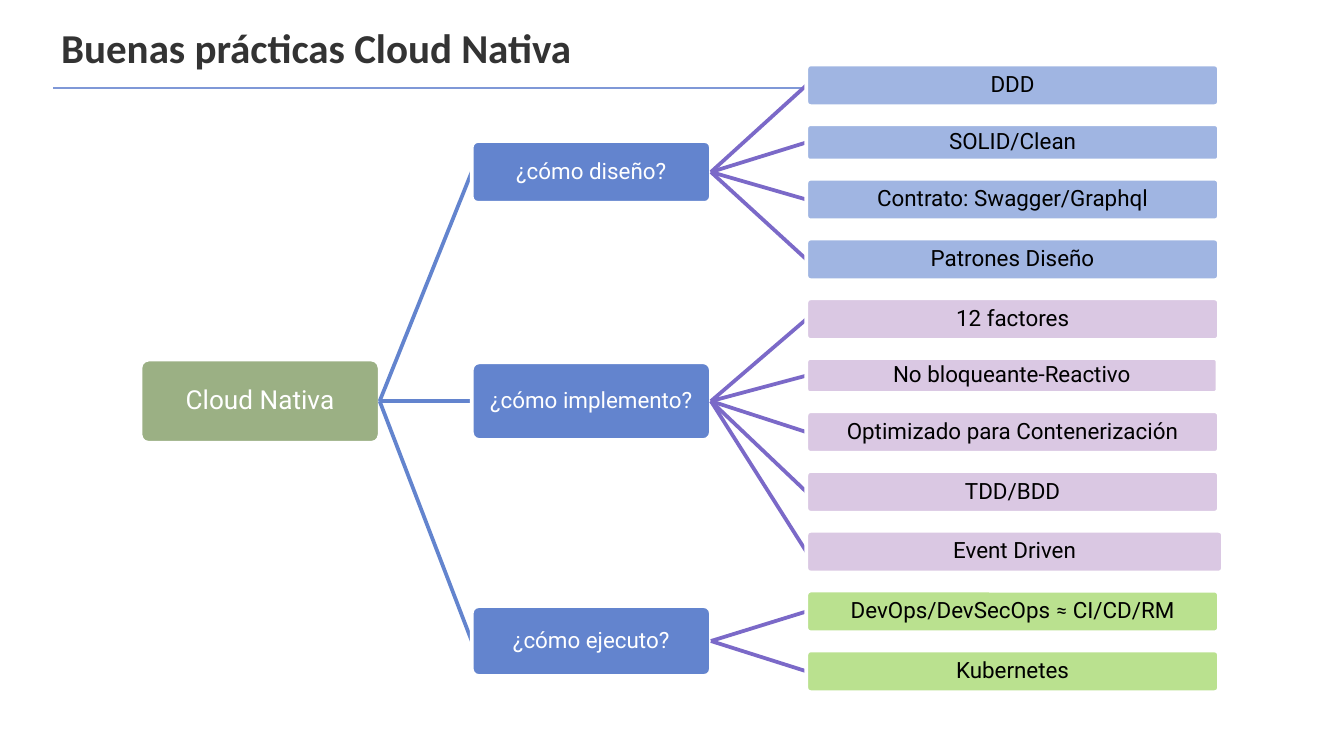
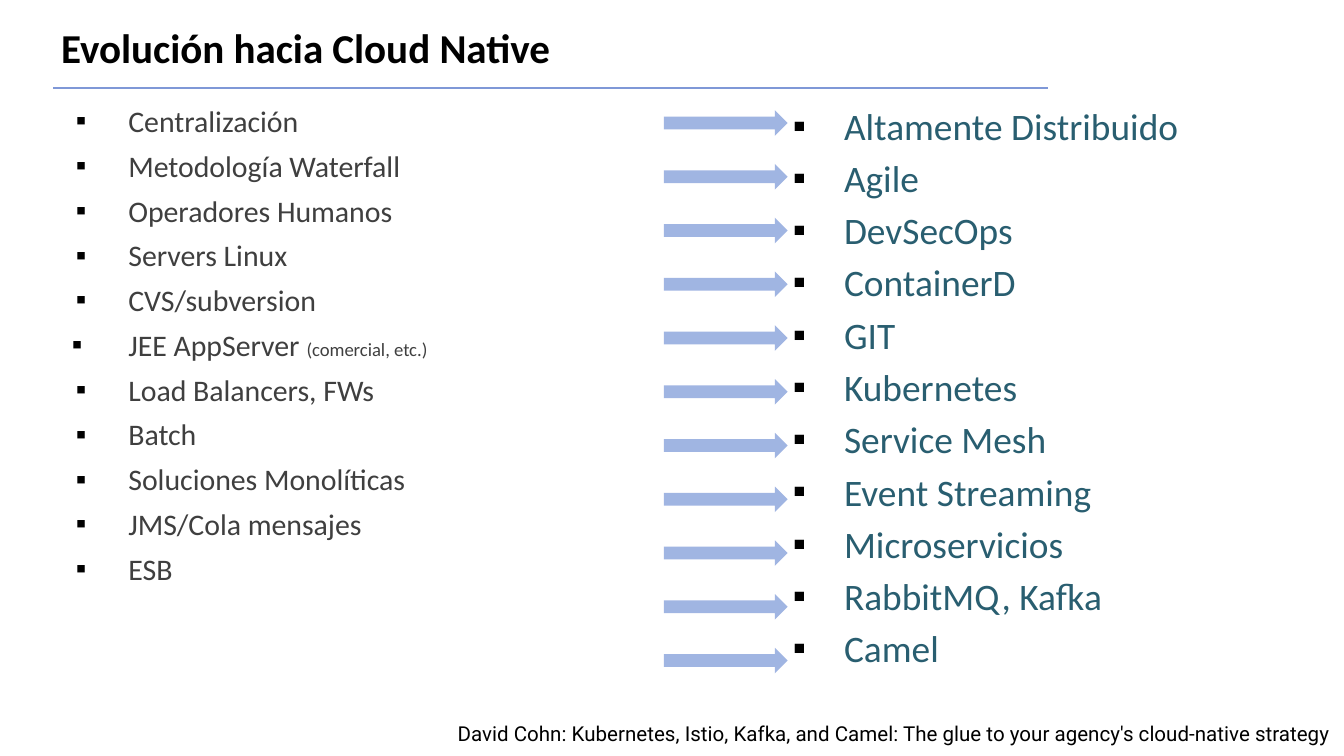
import lxml.etree
import pptx
import pptx.dml.color
import pptx.enum.shapes
import pptx.enum.text
import pptx.oxml.ns
import pptx.util

PX = 4572  # 200 px to the inch
BLUE, PALE_BLUE, PURPLE = "6384CE", "A0B5E2", "7B69C8"
GREEN, PALE_PURPLE, LIME = "9BB084", "DAC8E3", "BAE18F"
WHITE, BLACK = "FFFFFF", "000000"
RULE, SOURCE_TEXT, TARGET_TEXT = "7F98D7", "3F3F3F", "295E70"

rgb = pptx.dml.color.RGBColor.from_string
qn = pptx.oxml.ns.qn
SHAPES = pptx.enum.shapes.MSO_SHAPE
STRAIGHT = pptx.enum.shapes.MSO_CONNECTOR.STRAIGHT
ALIGN = pptx.enum.text.PP_ALIGN
ANCHOR = pptx.enum.text.MSO_ANCHOR


def style(font, name, size, color, bold=False):
    font.name, font.size, font.bold = name, pptx.util.Pt(size), bold
    font.color.rgb = rgb(color)


def add_node(slide, box, fill, label, size, color, parent=None, link=None):
    """Add a tree node, drawing its link to the parent underneath it."""
    if parent is not None:
        branch = slide.shapes.add_connector(STRAIGHT, 0, 0, 0, 0)
    node = slide.shapes.add_shape(SHAPES.ROUNDED_RECTANGLE, *[n * PX for n in box])
    node.shadow.inherit = False
    node.adjustments[0] = 0.1
    node.fill.solid()
    node.fill.fore_color.rgb = rgb(fill)
    node.line.color.rgb = rgb(WHITE)
    node.line.width = pptx.util.Pt(2)
    frame = node.text_frame
    frame.margin_left = frame.margin_right = 2 * PX
    frame.margin_top = frame.margin_bottom = 2 * PX
    frame.vertical_anchor = ANCHOR.MIDDLE
    paragraph = frame.paragraphs[0]
    paragraph.alignment = ALIGN.CENTER
    paragraph.line_spacing = 0.9
    for part in filter(None, label.partition("≈")):
        run = paragraph.add_run()
        run.text = part
        style(run.font, "Calibri" if part == "≈" else "Roboto", size, color)
    if parent is not None:
        branch.begin_connect(parent, 3)
        branch.end_connect(node, 1)
        branch.line.color.rgb = rgb(link)
        branch.line.width = pptx.util.Pt(2)
        lxml.etree.SubElement(branch.element.spPr, qn("a:effectLst"))
    return node


prs = pptx.Presentation()
prs.slide_width, prs.slide_height = 2000 * PX, 1125 * PX

# Titles, and the rule below them on the master
slides = []
for layout, heading, color in [
    (5, "Buenas prácticas Cloud Nativa", "333333"),
    (3, "Evolución hacia Cloud Native", BLACK),
]:
    slide = prs.slides.add_slide(prs.slide_layouts[layout])
    title = slide.shapes.title
    title.left, title.top, title.width, title.height = 71 * PX, 30 * PX, 1514 * PX, 80 * PX
    title.text_frame.text = heading
    title.text_frame.auto_size = pptx.enum.text.MSO_AUTO_SIZE.NONE
    title.text_frame.vertical_anchor = ANCHOR.MIDDLE
    title.text_frame.paragraphs[0].alignment = ALIGN.LEFT
    style(title.text_frame.paragraphs[0].runs[0].font, "Calibri", 22, color, True)
    slides.append(slide)
practices, evolution = slides

rule = practices.shapes.add_connector(STRAIGHT, 79 * PX, 131 * PX, 1560 * PX, 131 * PX)
rule.line.color.rgb = rgb(RULE)
rule.line.width = pptx.util.Pt(1)
lxml.etree.SubElement(rule.element.spPr, qn("a:effectLst"))
prs.slide_master.shapes.element.append(rule.element)

# Slide 1: tree of practices; a leaf is label, width, height
questions = [
    ("¿cómo diseño?", 210, 92, PALE_BLUE, [
        ("DDD", 614, 62),
        ("SOLID/Clean", 614, 54),
        ("Contrato: Swagger/Graphql", 614, 62),
        ("Patrones Diseño", 614, 62),
    ]),
    ("¿cómo implemento?", 539, 116, PALE_PURPLE, [
        ("12 factores", 614, 62),
        ("No bloqueante-Reactivo", 612, 52),
        ("Optimizado para Contenerización", 614, 62),
        ("TDD/BDD", 614, 62),
        ("Event Driven", 620, 62),
    ]),
    ("¿cómo ejecuto?", 902, 104, LIME, [
        ("DevOps/DevSecOps ≈ CI/CD/RM", 614, 62),
        ("Kubernetes", 614, 62),
    ]),
]
root = add_node(practices, (209, 535, 356, 124), GREEN, "Cloud Nativa", 14, WHITE)
leaf_top, leaf_gap = 96, 27
for label, top, height, leaf_fill, leaves in questions:
    question = add_node(practices, (702, top, 356, height), BLUE, label, 12, WHITE, root, BLUE)
    for leaf, width, leaf_height in leaves:
        add_node(practices, (1200, leaf_top, width, leaf_height), leaf_fill, leaf, 12, BLACK,
                 question, PURPLE)
        leaf_top += leaf_height + leaf_gap

# Slide 2: from the old way to the new one
JEE, JEE_NOTE = "JEE AppServer ", "(comercial, etc.)"
steps = [
    ("Centralización", "Altamente Distribuido"),
    ("Metodología Waterfall", "Agile"),
    ("Operadores Humanos", "DevSecOps"),
    ("Servers Linux", "ContainerD"),
    ("CVS/subversion", "GIT"),
    (JEE, "Kubernetes"),
    ("Load Balancers, FWs", "Service Mesh"),
    ("Batch", "Event Streaming"),
    ("Soluciones Monolíticas", "Microservicios"),
    ("JMS/Cola mensajes", "RabbitMQ, Kafka"),
    ("ESB", "Camel"),
]
before, after = zip(*steps)
for index, items, left, width, margin, hanging, gap, size, color in [
    (1, before, 71, 930, 100, 78, 4.8, 16, SOURCE_TEXT),
    (2, after, 1160, 804, 76, 76, 4, 20, TARGET_TEXT),
]:
    column = evolution.placeholders[index]
    column.left, column.top, column.width, column.height = (
        left * PX, 143 * PX, width * PX, 910 * PX)
    frame = column.text_frame
    frame.text = "\n".join(items)
    frame.auto_size = pptx.enum.text.MSO_AUTO_SIZE.NONE
    for number, paragraph in enumerate(frame.paragraphs):
        paragraph.space_before = pptx.util.Pt(gap if number else 0)
        properties = paragraph._p.get_or_add_pPr()
        properties.set("marL", str(margin * PX))
        properties.set("indent", str(-(84 if items[number] == JEE else hanging) * PX))
        bullet_color = lxml.etree.SubElement(properties, qn("a:buClr"))
        lxml.etree.SubElement(bullet_color, qn("a:srgbClr"), val=BLACK)
        lxml.etree.SubElement(properties, qn("a:buChar"), char="▪")
        style(paragraph.runs[0].font, "Calibri", size, color)
        if items[number] == JEE:
            note = paragraph.add_run()
            note.text = JEE_NOTE
            style(note.font, "Calibri", 10, color)

for number in range(len(steps)):
    arrow = evolution.shapes.add_shape(
        SHAPES.RIGHT_ARROW, 988 * PX, (164 + 80 * number) * PX, 184 * PX, 38 * PX)
    arrow.shadow.inherit = False
    arrow.fill.solid()
    arrow.fill.fore_color.rgb = rgb(PALE_BLUE)
    arrow.line.fill.background()

citation = evolution.shapes.add_textbox(514 * PX, 1063 * PX, 1486 * PX, 58 * PX).text_frame
citation.word_wrap = True
citation.text = ("David Cohn: Kubernetes, Istio, Kafka, and Camel: "
                 "The glue to your agency's cloud-native strategy")
citation.paragraphs[0].alignment = ALIGN.RIGHT
style(citation.paragraphs[0].runs[0].font, "Roboto", 11, BLACK)

prs.save("out.pptx")
